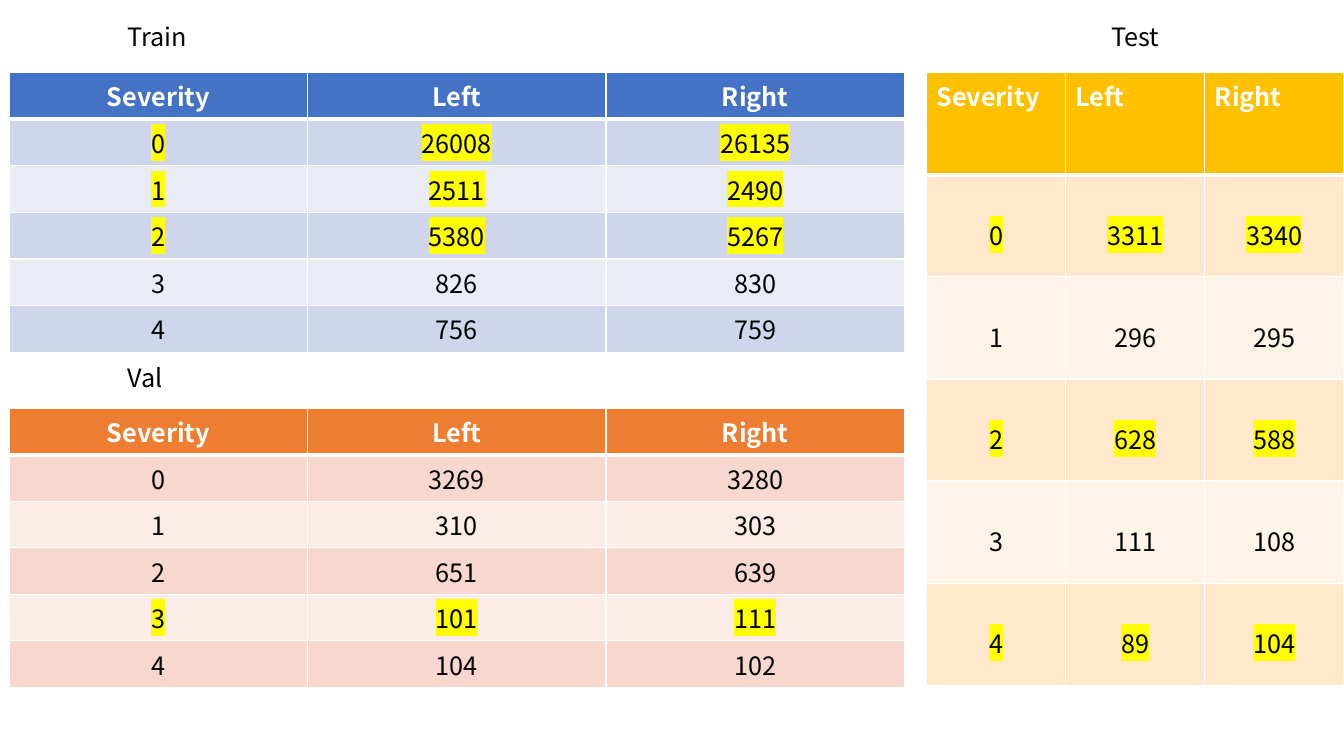
from pptx import Presentation
from pptx.dml.color import RGBColor
from pptx.enum.text import MSO_ANCHOR, MSO_AUTO_SIZE, PP_ALIGN
from pptx.oxml.ns import qn
from pptx.util import Inches, Pt
from lxml import etree

LEFT, CENTER = PP_ALIGN.LEFT, PP_ALIGN.CENTER
TOP = MSO_ANCHOR.TOP
GROW = MSO_AUTO_SIZE.SHAPE_TO_FIT_TEXT

COLORS = {
    "white": "FFFFFF", "black": "000000", "highlight": "FFFF00",
    "blue": "4472C4", "blue_dark_band": "CFD5EA", "blue_light_band": "E9EBF5",
    "orange": "ED7D31", "orange_dark_band": "F8D7CE", "orange_light_band": "FCECE8",
    "gold": "FFC000", "gold_dark_band": "FFE8CC", "gold_light_band": "FFF4E7",
}
FONT = "Noto Sans CJK KR"
HEADINGS = ("Severity", "Left", "Right")
LABEL_HEIGHT = 0.4
LINE_HEIGHT = 0.36

# Each panel: label, label box, table box (left, top, width, height), counts by severity
PANELS = [
    {"label": "Train", "label_box": (1.17, 0.16, 2.26), "label_align": LEFT,
     "box": (0.09, 0.72, 8.88, 2.77), "theme": "blue", "marked": {0, 1, 2},
     "header_align": CENTER, "lead": 0,
     "counts": [(26008, 26135), (2511, 2490), (5380, 5267), (826, 830), (756, 759)]},
    {"label": "Val", "label_box": (0.42, 3.55, 2.04), "label_align": CENTER,
     "box": (0.09, 4.05, 8.88, 2.77), "theme": "orange", "marked": {3},
     "header_align": CENTER, "lead": 0,
     "counts": [(3269, 3280), (310, 303), (651, 639), (101, 111), (104, 102)]},
    {"label": "Test", "label_box": (10.24, 0.16, 2.04), "label_align": CENTER,
     "box": (9.19, 0.72, 4.14, 6.08), "theme": "gold", "marked": {0, 2, 4},
     "header_align": LEFT, "lead": LINE_HEIGHT,
     "counts": [(3311, 3340), (296, 295), (628, 588), (111, 108), (89, 104)]},
]


def color(name):
    return RGBColor.from_string(COLORS[name])


def write(para, text, align, ink, bold=False, marked=False):
    """Put one formatted span in a paragraph."""
    para.alignment = align
    span = para.add_run()
    span.text = text
    for key, value in {"name": FONT, "size": Pt(18), "bold": bold}.items():
        setattr(span.font, key, value)
    span.font.color.rgb = color(ink)
    if marked:
        highlight = etree.Element(qn("a:highlight"))
        etree.SubElement(highlight, qn("a:srgbClr"), val=COLORS["highlight"])
        span.font.fill._xPr.find(qn("a:solidFill")).addnext(highlight)


def draw_borders(cell, widths):
    """Add white cell borders; widths are points by side, in schema order."""
    properties = cell._tc.get_or_add_tcPr()
    for side, width in widths.items():
        line = etree.SubElement(properties, qn(f"a:ln{side}"), w=str(Pt(width)))
        fill = etree.SubElement(line, qn("a:solidFill"))
        etree.SubElement(fill, qn("a:srgbClr"), val=COLORS["white"])


def add_label(page, panel):
    left, top, width = panel["label_box"]
    box = page.shapes.add_textbox(*map(Inches, (left, top, width, LABEL_HEIGHT)))
    frame = box.text_frame
    for key, value in {"word_wrap": True, "auto_size": GROW}.items():
        setattr(frame, key, value)
    write(frame.paragraphs[0], panel["label"], panel["label_align"], "black")


def add_count_table(page, panel):
    rows = [HEADINGS] + [(severity, *pair) for severity, pair in enumerate(panel["counts"])]
    left, top, width, height = map(Inches, panel["box"])
    table = page.shapes.add_table(len(rows), len(HEADINGS), left, top, width, height).table

    for row_number, values in enumerate(rows):
        header = row_number == 0
        band = "_dark_band" if row_number % 2 else "_light_band"
        fill = panel["theme"] + ("" if header else band)
        widths = {"L": 1, "R": 1, "T": 3 if row_number == 1 else 1, "B": 3 if header else 1}
        for column, value in enumerate(values):
            cell = table.cell(row_number, column)
            cell.vertical_anchor = TOP
            cell.margin_top = Inches(0.05 + (0 if header else panel["lead"]))
            draw_borders(cell, widths)
            cell.fill.solid()
            cell.fill.fore_color.rgb = color(fill)
            write(cell.text_frame.paragraphs[0], str(value),
                  panel["header_align"] if header else CENTER,
                  "white" if header else "black", bold=header,
                  marked=not header and values[0] in panel["marked"])


def main():
    deck = Presentation()
    deck.slide_width, deck.slide_height = Inches(13.33), Inches(7.5)
    page = deck.slides.add_slide(deck.slide_layouts[6])
    for panel in PANELS:
        add_count_table(page, panel)
        add_label(page, panel)
    deck.save("out.pptx")


if __name__ == "__main__":
    main()
